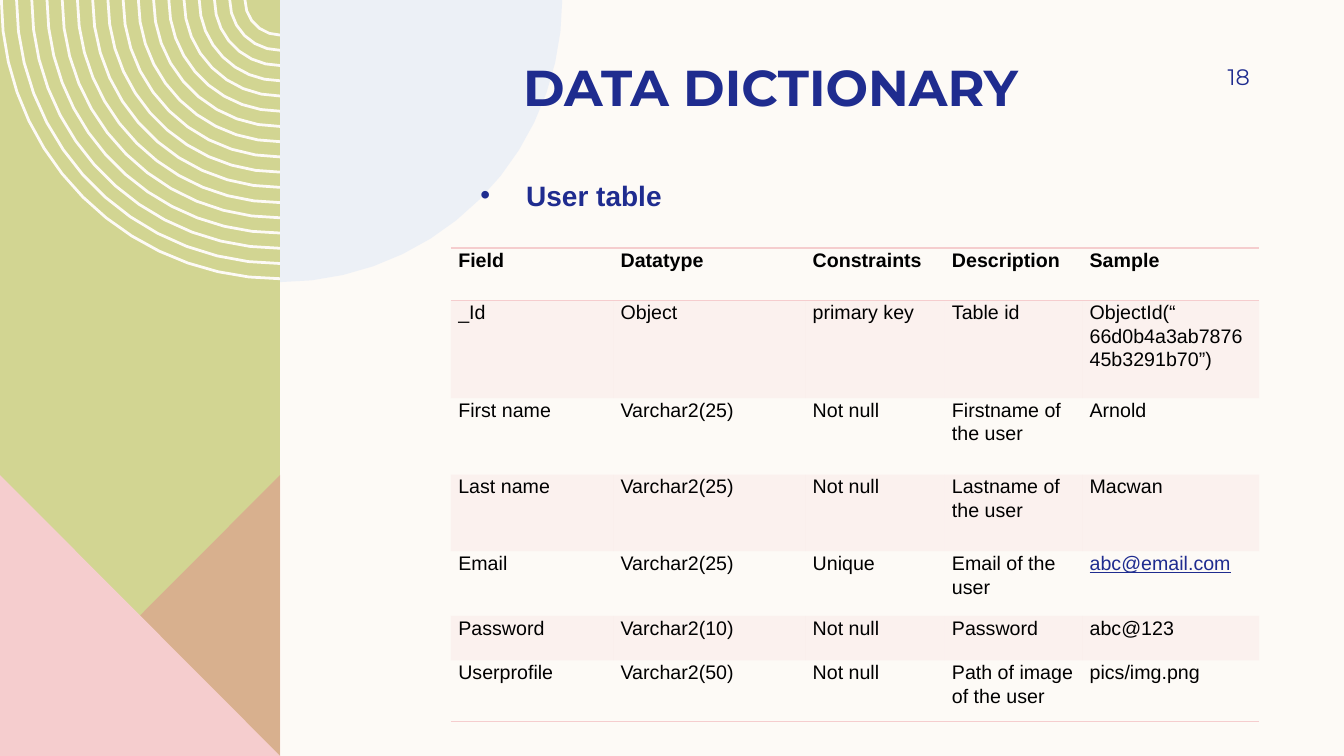
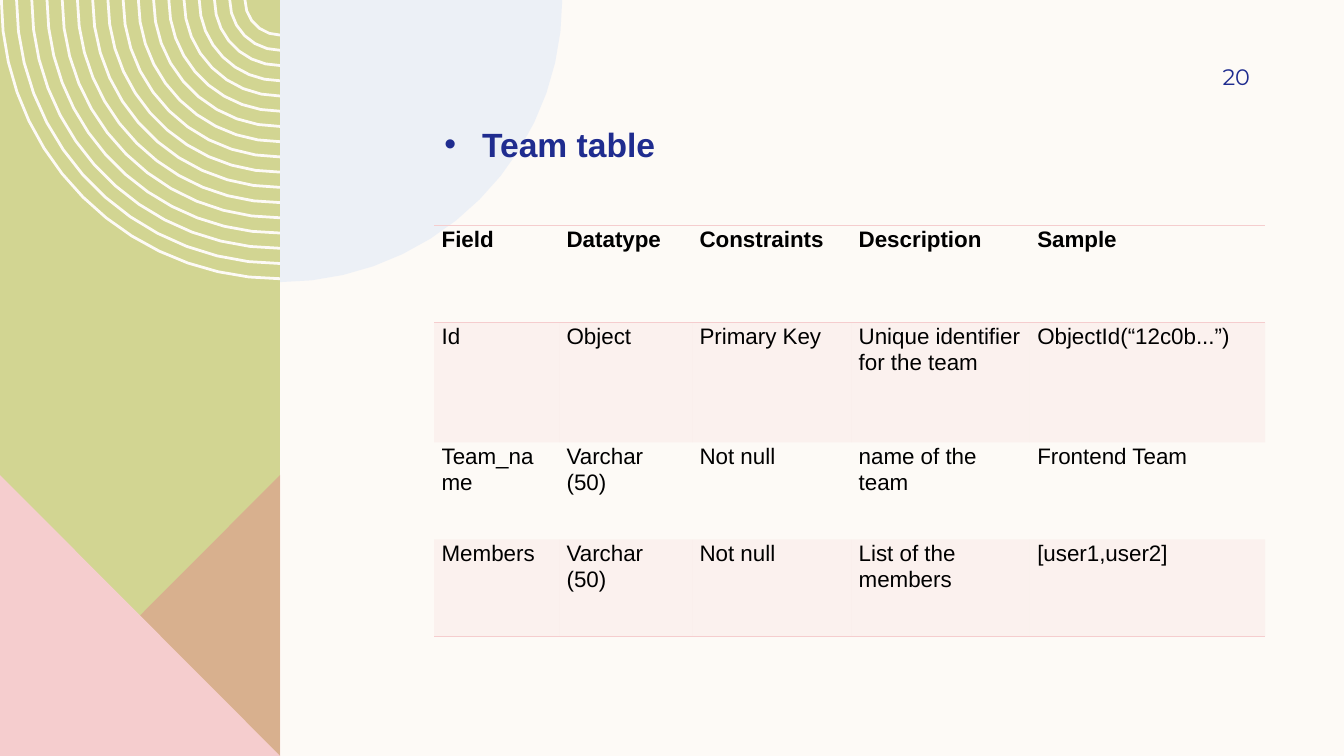
import math
from dataclasses import dataclass

import pptx
import pptx.dml.color
import pptx.dml.fill
import pptx.enum.text
import pptx.oxml
import pptx.oxml.ns
import pptx.presentation
import pptx.shapes.autoshape
import pptx.slide
import pptx.table
import pptx.text.text
import pptx.util

Cm = pptx.util.Cm
Pt = pptx.util.Pt
RGBColor = pptx.dml.color.RGBColor
PP_ALIGN = pptx.enum.text.PP_ALIGN
MSO_ANCHOR = pptx.enum.text.MSO_ANCHOR
qn = pptx.oxml.ns.qn

CREAM = RGBColor(0xFD, 0xFA, 0xF6)
OLIVE = RGBColor(0xD2, 0xD5, 0x92)
CORAL = RGBColor(0xDE, 0x8C, 0x8C)
PINK = RGBColor(0xF5, 0xCD, 0xCE)
PALE_BLUE = RGBColor(0xDD, 0xE7, 0xF6)
NAVY = RGBColor(0x1F, 0x2C, 0x8F)
BLACK = RGBColor(0, 0, 0)

HEADING_FONT = "Montserrat"
BODY_FONT = "Arial"
NO_STYLE = "{2D5ABB26-0587-4C30-8999-92F81FD0307C}"
A_NS = 'xmlns:a="http://schemas.openxmlformats.org/drawingml/2006/main"'

SLIDE_W, SLIDE_H = 33.87, 19.05
PANEL_W = 7.06
TRIANGLE_TOP = 11.97
DISC_RADIUS = 7.11
RING_COUNT = 17
RING_OUTER, RING_INNER = 7.06, 0.92
RING_WIDTH = 0.07

Point = tuple[float, float]
Contour = list[Point]


@dataclass(frozen=True)
class Subtitle:
    text: str
    left: float
    top: float
    width: float
    height: float
    indent: float
    size: int


@dataclass(frozen=True)
class Grid:
    left: float
    top: float
    columns: list[float]
    heights: list[float]
    size: int
    rows: list[list[str]]


@dataclass(frozen=True)
class Page:
    number: str
    title: str
    subtitle: Subtitle
    grid: Grid


HEADER = ["Field", "Datatype", "Constraints", "Description", "Sample"]

PAGES = [
    Page(
        "18",
        "DATA DICTIONARY",
        Subtitle("User table", 11.86, 4.37, 9.02, 1.12, 1.15, 20),
        Grid(
            11.36, 6.25,
            [4.09, 4.84, 3.51, 3.47, 4.46],
            [1.32, 2.46, 1.93, 1.93, 1.63, 1.12, 1.55],
            14,
            [
                HEADER,
                ["_Id", "Object", "primary key", "Table id",
                 "ObjectId(“ 66d0b4a3ab787645b3291b70”)"],
                ["First name", "Varchar2(25)", "Not null", "Firstname of the user", "Arnold"],
                ["Last name", "Varchar2(25)", "Not null", "Lastname of the user", "Macwan"],
                ["Email", "Varchar2(25)", "Unique", "Email of the user", "abc@email.com"],
                ["Password", "Varchar2(10)", "Not null", "Password", "abc@123"],
                ["Userprofile", "Varchar2(50)", "Not null", "Path of image of the user",
                 "pics/img.png"],
            ],
        ),
    ),
    Page(
        "20",
        "",
        Subtitle("Team table", 10.95, 3, 6.1, 1.27, 0.95, 24),
        Grid(
            10.94, 5.68,
            [3.15, 3.35, 4.01, 4.5, 5.93],
            [2.44, 3.03, 2.44, 2.44],
            16,
            [
                HEADER,
                ["Id", "Object", "Primary Key", "Unique identifier for the team",
                 "ObjectId(“12c0b...”)"],
                ["Team_name", "Varchar (50)", "Not null", "name of the team", "Frontend Team"],
                ["Members", "Varchar (50)", "Not null", "List of the members", "[user1,user2]"],
            ],
        ),
    ),
]


def arc(radius: float, start: int, end: int) -> Contour:
    steps = math.ceil(5 * math.sqrt(radius))
    angles = [math.radians(start + (end - start) * i / steps) for i in range(steps + 1)]
    return [(PANEL_W + radius * math.cos(a), radius * math.sin(a)) for a in angles]


def ring(index: int) -> Contour:
    radius = RING_OUTER - (RING_OUTER - RING_INNER) * index / (RING_COUNT - 1)
    return arc(radius, 180, 90) + arc(radius - RING_WIDTH, 90, 180)


def set_fill(fill: pptx.dml.fill.FillFormat, color: RGBColor, parent, alpha: int) -> None:
    fill.solid()
    fill.fore_color.rgb = color
    if alpha < 100:
        clr = parent.find(qn("a:solidFill")).find(qn("a:srgbClr"))
        clr.append(pptx.oxml.parse_xml(f'<a:alpha {A_NS} val="{alpha * 1000}"/>'))


def add_outline(
    s: pptx.slide.Slide, contours: list[Contour], color: RGBColor, alpha: int = 100
) -> pptx.shapes.autoshape.Shape:
    paths = [[(Cm(x), Cm(y)) for x, y in contour] for contour in contours]
    builder = s.shapes.build_freeform(*paths[0][0])
    for i, points in enumerate(paths):
        if i:
            builder.move_to(*points[0])
        builder.add_line_segments(points[1:], close=True)
    sp = builder.convert_to_shape()
    sp.shadow.inherit = False
    sp.line.fill.background()
    set_fill(sp.fill, color, sp._element.spPr, alpha)
    return sp


def decorate_master(prs: pptx.presentation.Presentation, s: pptx.slide.Slide) -> None:
    panel = [(PANEL_W, 0), (0, 0), (0, SLIDE_H), (PANEL_W, SLIDE_H)]
    right_triangle = [(PANEL_W, TRIANGLE_TOP), (PANEL_W, SLIDE_H), (0, SLIDE_H)]
    left_triangle = [(0, TRIANGLE_TOP), (PANEL_W, SLIDE_H), (0, SLIDE_H)]
    disc = [(PANEL_W, 0)] + arc(DISC_RADIUS, 0, 90)
    shapes = [
        add_outline(s, [panel], OLIVE),
        add_outline(s, [ring(i) for i in range(RING_COUNT)], CREAM),
        add_outline(s, [right_triangle], CORAL, 50),
        add_outline(s, [left_triangle], PINK),
        add_outline(s, [disc], PALE_BLUE, 50),
    ]
    tree = prs.slide_master.shapes._spTree
    for i, sp in enumerate(shapes):
        sp._element.nvSpPr.cNvPr.set("id", str(100 + i))
        tree.insert(2 + i, sp._element)


def add_run(
    p: pptx.text.text._Paragraph, text: str, font: str, size: int, color: RGBColor,
    bold: bool = False,
) -> pptx.text.text._Run:
    r = p.add_run()
    r.text = text
    r.font.name = font
    r.font.size = Pt(size)
    r.font.bold = bold
    r.font.color.rgb = color
    return r


def set_title(s: pptx.slide.Slide, text: str) -> None:
    sp = s.shapes.title
    sp.left, sp.top, sp.width, sp.height = Cm(8.36), Cm(0.18), Cm(22.12), Cm(2.77)
    tf = sp.text_frame
    tf.auto_size = pptx.enum.text.MSO_AUTO_SIZE.NONE
    tf.vertical_anchor = MSO_ANCHOR.BOTTOM
    tf.margin_top = tf.margin_bottom = 0
    p = tf.paragraphs[0]
    p.alignment = PP_ALIGN.CENTER
    add_run(p, text, HEADING_FONT, 36, NAVY, True)


def add_page_number(s: pptx.slide.Slide, number: str) -> None:
    tf = s.shapes.add_textbox(Cm(28.78), Cm(1.27), Cm(2.97), Cm(1.32)).text_frame
    tf.word_wrap = True
    tf.vertical_anchor = MSO_ANCHOR.MIDDLE
    p = tf.paragraphs[0]
    p.alignment = PP_ALIGN.RIGHT
    add_run(p, number, HEADING_FONT, 16, NAVY)


def add_subtitle(s: pptx.slide.Slide, sub: Subtitle) -> None:
    box = s.shapes.add_textbox(Cm(sub.left), Cm(sub.top), Cm(sub.width), Cm(sub.height))
    tf = box.text_frame
    tf.word_wrap = True
    p = tf.paragraphs[0]
    pPr = p._p.get_or_add_pPr()
    pPr.set("marL", str(Cm(sub.indent)))
    pPr.set("indent", str(-Cm(sub.indent)))
    pPr.append(pptx.oxml.parse_xml(f'<a:buFont {A_NS} typeface="{BODY_FONT}"/>'))
    pPr.append(pptx.oxml.parse_xml(f'<a:buChar {A_NS} char="•"/>'))
    add_run(p, sub.text, BODY_FONT, sub.size, NAVY, True)


def add_border(cell: pptx.table._Cell, side: str) -> None:
    cell._tc.get_or_add_tcPr().append(pptx.oxml.parse_xml(
        f'<a:{side} {A_NS} w="{Pt(1)}"><a:solidFill><a:srgbClr val="{PINK}"/>'
        f'</a:solidFill></a:{side}>'
    ))


def fill_cell(cell: pptx.table._Cell, text: str, size: int, row: int, last: int) -> None:
    cell.margin_left = cell.margin_right = Cm(0.19)
    cell.margin_top = cell.margin_bottom = 0
    if row == 0:
        add_border(cell, "lnT")
    if row in (0, last):
        add_border(cell, "lnB")
    if row % 2:
        set_fill(cell.fill, PINK, cell._tc.tcPr, 20)
    else:
        cell.fill.background()
    p = cell.text_frame.paragraphs[0]
    p.line_spacing = 1.07
    is_address = text.endswith(".com")
    r = add_run(p, text, BODY_FONT, size, NAVY if is_address else BLACK, row == 0)
    r.font.underline = is_address


def add_grid(s: pptx.slide.Slide, grid: Grid) -> None:
    frame = s.shapes.add_table(
        len(grid.rows), len(grid.columns), Cm(grid.left), Cm(grid.top),
        Cm(sum(grid.columns)), Cm(sum(grid.heights)),
    )
    table = frame.table
    table._tbl.tblPr.find(qn("a:tableStyleId")).text = NO_STYLE
    table.horz_banding = False
    for column, width in zip(table.columns, grid.columns):
        column.width = Cm(width)
    for i, (height, texts) in enumerate(zip(grid.heights, grid.rows)):
        table.rows[i].height = Cm(height)
        for j, text in enumerate(texts):
            fill_cell(table.cell(i, j), text, grid.size, i, len(grid.rows) - 1)


def main() -> None:
    prs = pptx.Presentation()
    prs.slide_width, prs.slide_height = Cm(SLIDE_W), Cm(SLIDE_H)
    background = prs.slide_master.background.fill
    background.solid()
    background.fore_color.rgb = CREAM
    title_only, blank = prs.slide_layouts[5], prs.slide_layouts[6]
    for i, page in enumerate(PAGES):
        s = prs.slides.add_slide(title_only if page.title else blank)
        if i == 0:
            decorate_master(prs, s)
        if page.title:
            set_title(s, page.title)
        add_grid(s, page.grid)
        add_page_number(s, page.number)
        add_subtitle(s, page.subtitle)
    prs.save("out.pptx")


if __name__ == "__main__":
    main()
